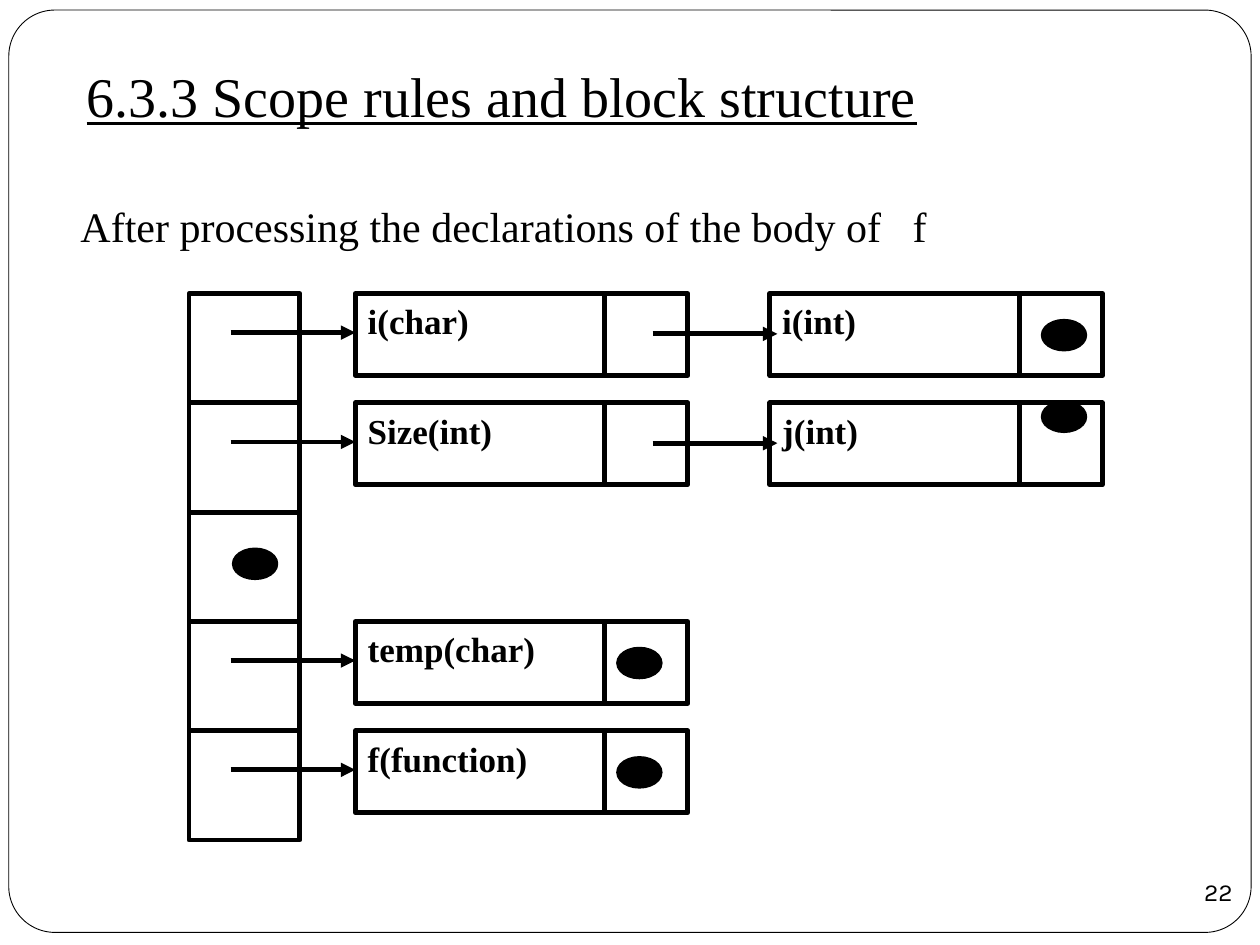
from pptx import Presentation
from pptx.dml.color import RGBColor
from pptx.enum.shapes import MSO_CONNECTOR, MSO_SHAPE
from pptx.enum.text import MSO_ANCHOR, PP_ALIGN
from pptx.oxml.ns import qn
from pptx.util import Inches, Pt
from lxml.etree import SubElement

BLACK = RGBColor(0, 0, 0)
WHITE = RGBColor(255, 255, 255)
SERIF = "Times New Roman"
TOP, STEP = 2.33, 0.8675
SLOT, SLOT_W = 1.5, 0.88
NODE_W, NODE_H, SPLIT = 2.64, 0.65, 1.98
NODES = (2.82, 6.11)
DOT_W, DOT_H = 0.33, 0.22
REACH = 0.99
CHAINS = [
    ["i(char)", "i(int)"],
    ["Size(int)", "j(int)"],
    [],
    ["temp(char)"],
    ["f(function)"],
]


def write(shape, text, size, font=SERIF, bold=False, under=False,
          align=PP_ALIGN.LEFT, anchor=MSO_ANCHOR.TOP, wrap=True):
    frame = shape.text_frame
    frame.text = text
    frame.word_wrap = wrap
    frame.vertical_anchor = anchor
    para = frame.paragraphs[0]
    para.alignment = align
    face = para.runs[0].font
    face.name, face.size = font, Pt(size)
    face.bold, face.underline = bold, under
    face.color.rgb = BLACK


def draw(slide, kind, x, y, w, h, fill=WHITE, width=2.75):
    shape = slide.shapes.add_shape(kind, *map(Inches, (x, y, w, h)))
    shape.shadow.inherit = False
    shape.fill.solid()
    shape.fill.fore_color.rgb = fill
    shape.line.color.rgb = BLACK
    shape.line.width = Pt(width)
    return shape


def label(slide, box, text, size, **style):
    shape = slide.shapes.add_textbox(*map(Inches, box))
    write(shape, text, size, **style)
    return shape


def rule(slide, x, y, dx, dy, arrow=False):
    line = slide.shapes.add_connector(
        MSO_CONNECTOR.STRAIGHT, *map(Inches, (x, y, x + dx, y + dy)))
    line.line.color.rgb = BLACK
    line.line.width = Pt(2.75)
    if arrow:
        SubElement(line.line._get_or_add_ln(), qn("a:tailEnd"), type="triangle")
    SubElement(line._element.spPr, qn("a:effectLst"))


def dot(slide, x, y):
    draw(slide, MSO_SHAPE.OVAL, x, y, DOT_W, DOT_H, BLACK)


def node(slide, x, y, text):
    box = draw(slide, MSO_SHAPE.RECTANGLE, x, y, NODE_W, NODE_H)
    write(box, text, 20, bold=True, align=PP_ALIGN.JUSTIFY)
    rule(slide, x + SPLIT, y, 0, NODE_H)


def chain(slide, row, names):
    y = TOP + row * STEP
    draw(slide, MSO_SHAPE.RECTANGLE, SLOT, y, SLOT_W, STEP)
    for x, name in zip(NODES, names):
        node(slide, x, y, name)
    if not names:
        dot(slide, SLOT + 0.36, y + 0.3)
        return
    rule(slide, NODES[0] - REACH, y + 0.31, REACH, 0, True)
    if len(names) == 1:
        dot(slide, NODES[0] + 2.09, y + 0.22)
    else:
        rule(slide, NODES[0] + 2.36, y + 0.32, REACH, 0, True)
        dot(slide, NODES[1] + 2.17, y + (0 if row else 0.22))


def main():
    deck = Presentation()
    deck.slide_width, deck.slide_height = Inches(10), Inches(7.5)
    slide = deck.slides.add_slide(deck.slide_layouts[6])
    frame = draw(slide, MSO_SHAPE.ROUNDED_RECTANGLE,
                 0.07, 0.08, 9.86, 7.32, width=0.5)
    frame.adjustments[0] = 0.05
    label(slide, (0.59, 0.44, 6.9, 0.64), "6.3.3 Scope rules and block structure",
          32, under=True, wrap=False)
    head = label(slide, (0.54, 1.42, 7.58, 0.67),
                 "After processing the declarations of the body of   f",
                 24, anchor=MSO_ANCHOR.BOTTOM)
    head.text_frame.margin_bottom = Inches(0.1)
    for row, names in enumerate(CHAINS):
        chain(slide, row, names)
    page = draw(slide, MSO_SHAPE.OVAL, 9.42, 6.83, 0.5, 0.5)
    page.fill.background()
    page.line.fill.background()
    write(page, "22", 14, font="Karla", align=PP_ALIGN.CENTER,
          anchor=MSO_ANCHOR.MIDDLE, wrap=False)
    text = page.text_frame
    text.margin_left = text.margin_right = 0
    text.margin_top = text.margin_bottom = 0
    deck.save("out.pptx")


if __name__ == "__main__":
    main()
